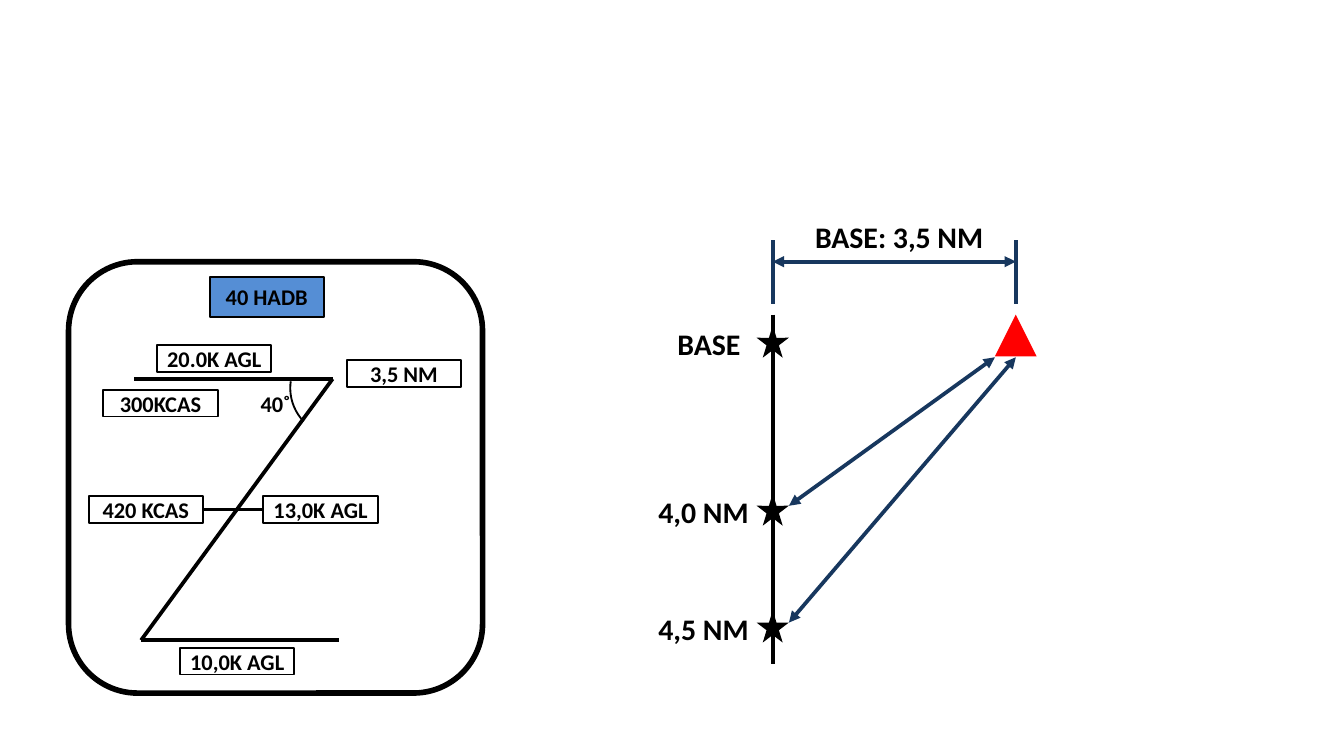
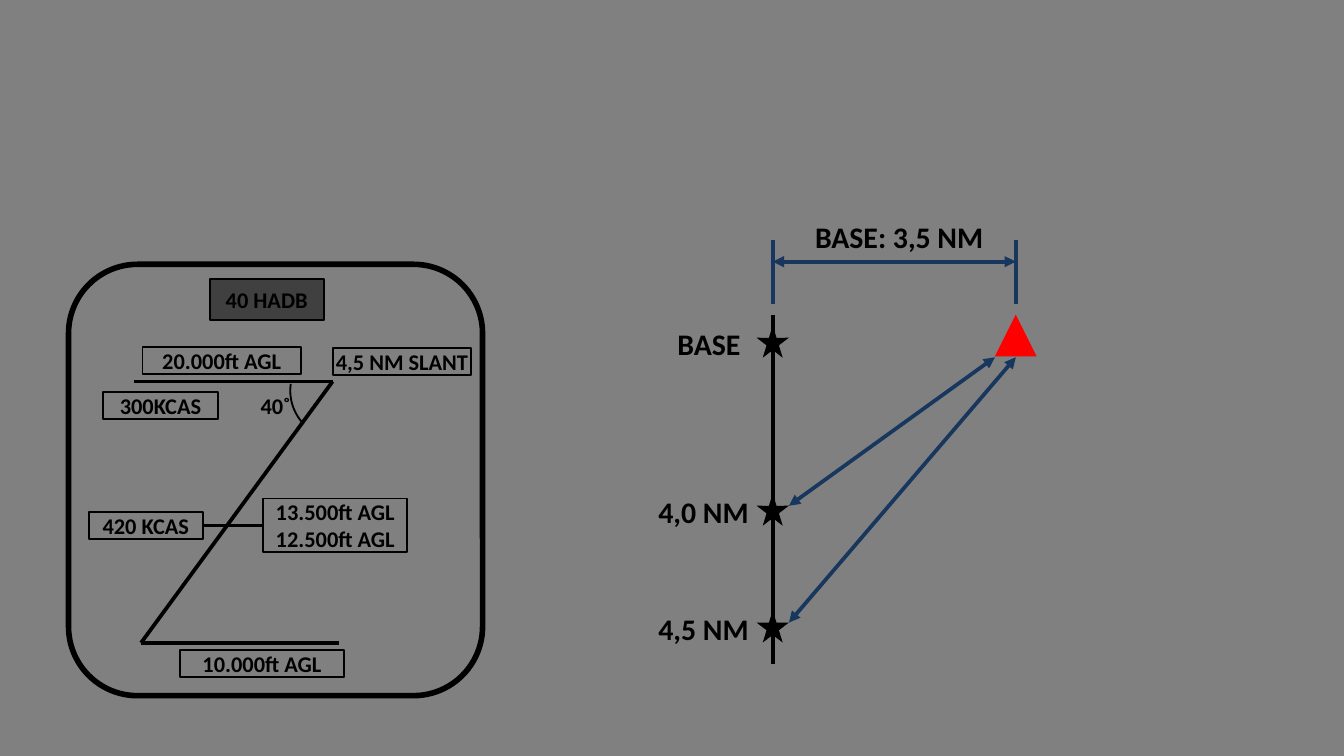
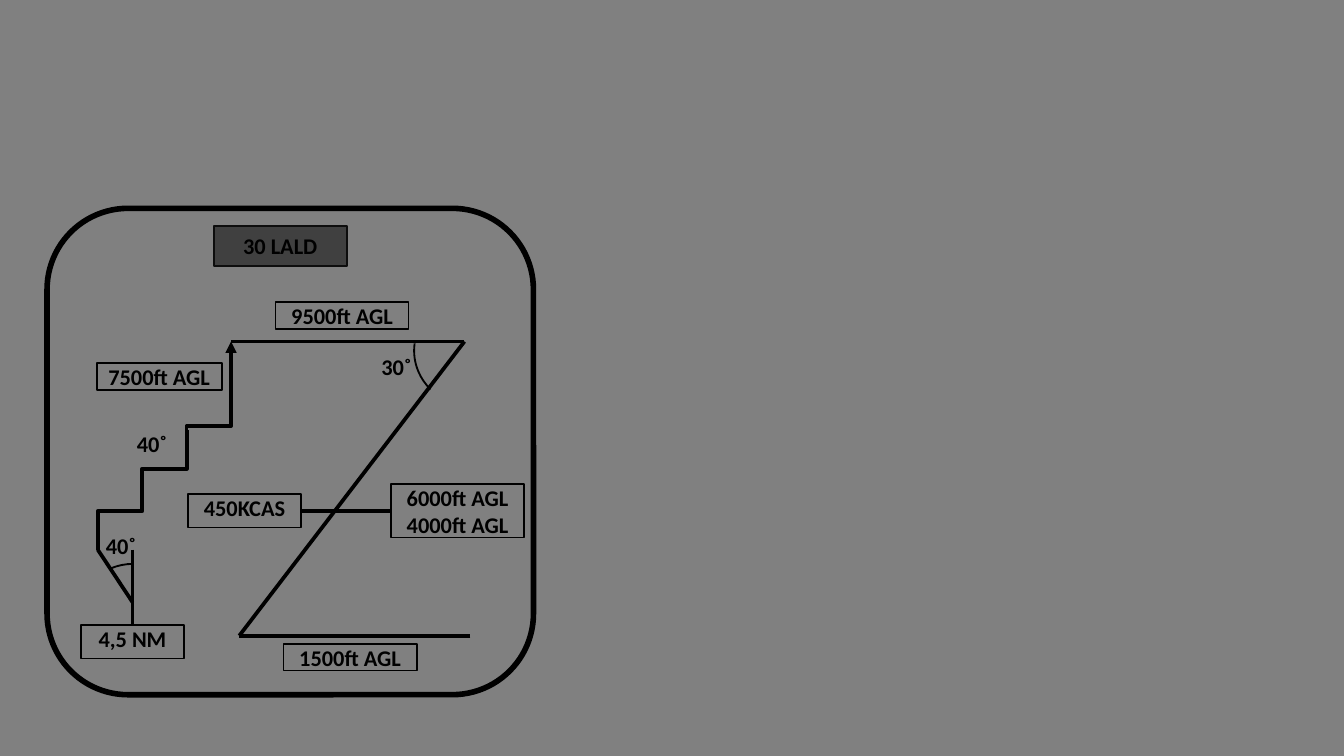
import dataclasses

import pptx
import pptx.dml.color
import pptx.enum.shapes
import pptx.enum.text
import pptx.oxml
import pptx.oxml.ns
import pptx.util

Pt = pptx.util.Pt
Shape = pptx.enum.shapes.MSO_SHAPE
Connector = pptx.enum.shapes.MSO_CONNECTOR


@dataclasses.dataclass(frozen=True)
class Theme:
    font: str = "Calibri"
    label_size: float = 12
    range_size: float = 16
    ink: str = "000000"
    navy: str = "17375E"
    target: str = "FF0000"
    white: str = "FFFFFF"
    grey: str = "808080"
    title_blue: str = "558ED5"
    title_grey: str = "404040"
    title_edge: str = "0D0D0D"
    thin: float = 1
    medium: float = 2
    thick: float = 3
    label_height: float = 14.4


THEME = Theme()


def rgb(color):
    return pptx.dml.color.RGBColor.from_string(color)


def add_outline(shapes, kind, left, top, width, height,
                fill=None, line=THEME.ink, weight=THEME.thin):
    shape = shapes.add_shape(kind, Pt(left), Pt(top), Pt(width), Pt(height))
    shape.shadow.inherit = False
    if fill:
        shape.fill.solid()
        shape.fill.fore_color.rgb = rgb(fill)
    else:
        shape.fill.background()
    if line:
        shape.line.color.rgb = rgb(line)
        shape.line.width = Pt(weight)
    else:
        shape.line.fill.background()
    return shape


def write(shape, text, size=THEME.label_size, side=2.9, edge=0):
    """Set bold centred text; side and edge are the insets."""
    frame = shape.text_frame
    frame.word_wrap = True
    frame.auto_size = pptx.enum.text.MSO_AUTO_SIZE.SHAPE_TO_FIT_TEXT
    frame.vertical_anchor = pptx.enum.text.MSO_ANCHOR.TOP
    frame.margin_left = frame.margin_right = Pt(side)
    frame.margin_top = frame.margin_bottom = Pt(edge)
    frame.text = text
    for paragraph in frame.paragraphs:
        paragraph.alignment = pptx.enum.text.PP_ALIGN.CENTER
        paragraph.font.name = THEME.font
        paragraph.font.size = Pt(size)
        paragraph.font.bold = True
        paragraph.font.color.rgb = rgb(THEME.ink)


def add_label(shapes, text, left, top, width, height=THEME.label_height, side=2.9):
    box = add_outline(shapes, Shape.RECTANGLE, left, top, width, height)
    write(box, text, side=side)
    return box


def add_title(shapes, text, left, top, width, fill, line=THEME.ink):
    box = add_outline(shapes, Shape.RECTANGLE, left, top, width, 21.6, fill, line)
    write(box, text, side=7.2, edge=3.6)


def add_text(shapes, text, left, top, width, height, size=THEME.label_size):
    box = shapes.add_textbox(Pt(left), Pt(top), Pt(width), Pt(height))
    write(box, text, size)


def add_line(shapes, start, end, color=THEME.ink, heads=(), kind=Connector.STRAIGHT):
    """heads names the arrowheads: headEnd at start, tailEnd at end."""
    line = shapes.add_connector(kind, *map(Pt, start + end))
    line.line.color.rgb = rgb(color)
    line.line.width = Pt(THEME.medium)
    for head in heads:
        arrow = pptx.oxml.parse_xml(
            f'<a:{head} {pptx.oxml.ns.nsdecls("a")} type="triangle"/>')
        line.line._get_or_add_ln().append(arrow)
    effects = pptx.oxml.parse_xml(f'<a:effectLst {pptx.oxml.ns.nsdecls("a")}/>')
    line._element.spPr.append(effects)
    return line


def add_step(shapes, left, bottom, run, rise):
    """Elbow that climbs, crosses to the right at half height and climbs again."""
    center_x, center_y = left + run / 2, bottom - rise / 2
    step = add_line(shapes, (center_x + rise / 2, center_y + run / 2),
                    (center_x - rise / 2, center_y - run / 2), kind=Connector.ELBOW)
    step._element.spPr.xfrm.set("rot", str(90 * 60000))


def add_arc(shapes, left, top, width, height, rotation, start, end):
    arc = add_outline(shapes, Shape.ARC, left, top, width, height)
    arc.rotation = rotation
    for index, degrees in enumerate((start, end)):
        arc.adjustments[index] = degrees * 0.6  # 60000 units a degree, scaled by 100000


def add_dive(shapes, top_left, top_right, bottom_left, bottom_right):
    """Z-shaped flight path: level leg, dive, level leg."""
    add_line(shapes, bottom_right, bottom_left)
    add_line(shapes, top_right, bottom_left)
    add_line(shapes, top_right, top_left)


def add_release_gate(shapes, altitude, speed):
    """Altitude and speed labels, each (text, left, top, width, ...), joined by a line."""
    altitude_box = add_label(shapes, *altitude)
    speed_box = add_label(shapes, *speed)
    gate = add_line(shapes, (0, 0), (1, 1))
    gate.begin_connect(altitude_box, 1)
    gate.end_connect(speed_box, 3)


def add_frame(shapes, left, top, width, height):
    add_outline(shapes, Shape.ROUNDED_RECTANGLE, left, top, width, height,
                weight=THEME.thick)


def add_hadb_card(slide, shift, title_fill, altitude, speed, labels):
    """Card of the 40 degree dive, moved down by shift."""
    shapes = slide.shapes.add_group_shape().shapes
    top, bottom = 203 + shift, 343 + shift
    add_dive(shapes, (72, top), (178.2, top), (75.6, bottom), (181.4, bottom))
    add_title(shapes, "40 HADB", 112.3, 148.3 + shift, 61.2, title_fill)
    for label in labels:
        add_label(shapes, *label)
    add_label(shapes, "300KCAS", 55.4, 208.8 + shift, 61.2)
    add_release_gate(shapes, altitude, speed)
    add_arc(shapes, 155.5, 182 + shift, 51.8, 51.8, 188.1, 308.4, 0)
    add_text(shapes, "40˚", 135.4, 208.8 + shift, 24.5, THEME.label_height)
    add_frame(shapes, 36.7, 140.2 + shift, 221.8, 231.1)


def add_range_diagram(slide):
    shapes = slide.shapes
    track_x, target_x = 414, 544.2
    target_size, target_top, star = 22.4, 168.6, 17.3
    target_bottom = target_top + target_size + 0.4
    target_left = target_x - target_size / 2
    both = ("headEnd", "tailEnd")

    add_outline(shapes, Shape.ISOSCELES_TRIANGLE, target_left, target_top,
                target_size, target_size, THEME.target, None)
    add_line(shapes, (track_x, 140.2), (target_x, 140.2), THEME.navy, both)
    for x in (track_x, target_x):
        add_line(shapes, (x, 128.8), (x, 162.7), THEME.navy)
    add_line(shapes, (track_x, 168.5), (track_x, 355.5))
    add_text(shapes, "BASE: 3,5 NM", 430.6, 117.4, 102.2, 19.4, THEME.range_size)

    # text, text left, text width, star top, x where its sight line meets the target
    points = (
        ("BASE", 357.1, 45.4, 174.4, None),
        ("4,0 NM", 345.6, 62.6, 264.4, target_left),
        ("4,5 NM", 345.6, 62.6, 327, target_x),
    )
    for text, left, width, top, sight_x in points:
        add_outline(shapes, Shape.STAR_5_POINT, track_x - star / 2, top, star, star,
                    THEME.ink, None)
        add_text(shapes, text, left, top, width, 19.4, THEME.range_size)
        if sight_x:
            add_line(shapes, (track_x + star / 2, top + 0.38 * star),
                     (sight_x, target_bottom), THEME.navy, both)


def add_lald_card(slide):
    shapes = slide.shapes.add_group_shape().shapes
    climb_x, top, bottom = 123.8, 183, 340.6
    add_dive(shapes, (climb_x, top), (248.8, top), (128.2, bottom), (252, bottom))
    add_title(shapes, "30 LALD", 114.5, 121, 71.3, THEME.title_grey, THEME.title_edge)
    add_label(shapes, "9500ft AGL", 147.6, 162, 71.3)
    add_label(shapes, "1500ft AGL", 151.9, 344.9, 71.3)
    add_label(shapes, "7500ft AGL", 51.8, 194.4, 67)
    add_release_gate(shapes, ("6000ft AGL\n4000ft AGL", 209.5, 259.2, 71.3, 28.8),
                     ("450KCAS", 100.8, 264.6, 60.5, 18))
    add_arc(shapes, 221.8, 159.1, 60.5, 58.3, 188.1, 308.4, 0)
    for text, left, text_top in (("30˚", 198, 189.4), ("40˚", 50.4, 285.1),
                                 ("40˚", 67, 230.4)):
        add_text(shapes, text, left, text_top, 28.8, 18)
    add_frame(shapes, 25.2, 111.6, 260.6, 260.6)

    run_in_x, turn_x, turn_y, run = 71, 52.4, 294.5, 23.8
    for index in range(3):
        add_step(shapes, turn_x + index * run, turn_y - index * 22.8, run, 41.2)
    add_line(shapes, (climb_x, top), (climb_x, 213.8), heads=("headEnd",))
    start_box = add_label(shapes, "4,5 NM", 43.3, 334.8, 55.4, 18)
    run_in = add_line(shapes, (run_in_x, turn_y), (run_in_x, 334.8))
    run_in.end_connect(start_box, 0)
    add_line(shapes, (turn_x, turn_y), (run_in_x, 322.6))
    add_arc(shapes, 42.5, 301, 58.3, 60.5, 276.4, 328.98, 353.06)


def add_slide(presentation, background):
    slide = presentation.slides.add_slide(presentation.slide_layouts[6])
    slide.background.fill.solid()
    slide.background.fill.fore_color.rgb = rgb(background)
    return slide


def main():
    presentation = pptx.Presentation()
    presentation.slide_width, presentation.slide_height = Pt(720), Pt(405)

    slide = add_slide(presentation, THEME.white)
    add_hadb_card(slide, 0, THEME.title_blue,
                  altitude=("13,0K AGL", 141.1, 265.7, 61.2),
                  speed=("420 KCAS", 47.5, 265.7, 61.2),
                  labels=(("20.0K AGL", 84.2, 185, 61.2),
                          ("3,5 NM", 185.8, 193, 61.2),
                          ("10,0K AGL", 96.5, 347, 61.2)))
    add_range_diagram(slide)

    slide = add_slide(presentation, THEME.grey)
    add_hadb_card(slide, 1.4, THEME.title_grey,
                  altitude=("13.500ft AGL\v12.500ft AGL", 141.1, 267.1, 77, 28.8),
                  speed=("420 KCAS", 47.5, 274.3, 61.2),
                  labels=(("20.000ft AGL", 76.3, 185.8, 85),
                          ("4,5 NM SLANT", 178.6, 186.5, 73.6, THEME.label_height, 0),
                          ("10.000ft AGL", 96.5, 348.4, 87.8)))
    add_range_diagram(slide)

    add_lald_card(add_slide(presentation, THEME.grey))
    presentation.save("out.pptx")


if __name__ == "__main__":
    main()
